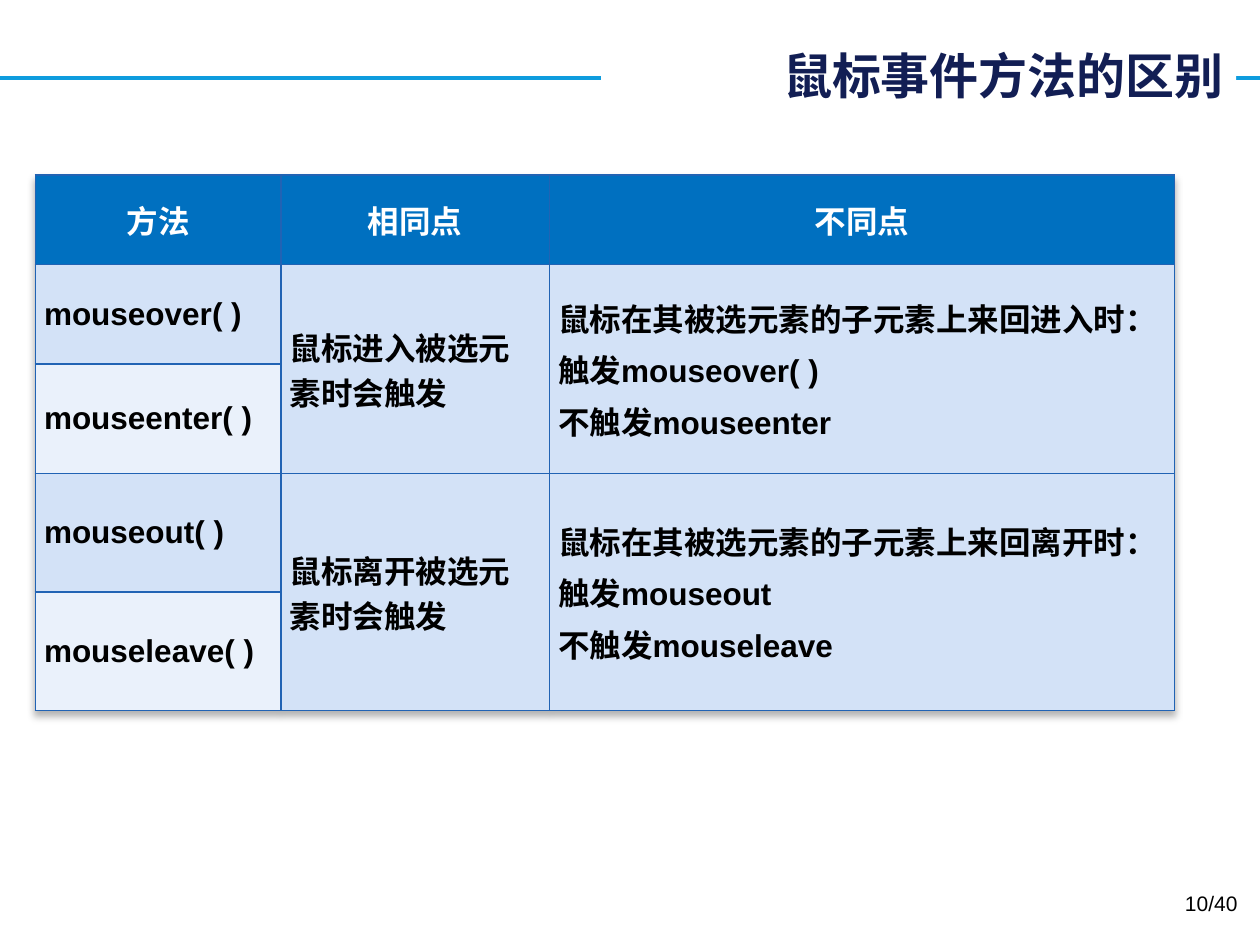
from lxml.etree import SubElement
from pptx import Presentation
from pptx.dml.color import RGBColor
from pptx.enum.shapes import MSO_CONNECTOR
from pptx.enum.text import MSO_ANCHOR, PP_ALIGN
from pptx.oxml import parse_xml
from pptx.oxml.ns import nsdecls, qn
from pptx.util import Inches, Pt

CJK_FONT = "Noto Sans CJK SC"


def color(value):
    return RGBColor.from_string(value)


def add_run(paragraph, text, size, fill, latin="Arial", bold=True):
    run = paragraph.add_run()
    run.text = text
    run.font.size = Pt(size)
    run.font.bold = bold
    run.font.name = latin
    run.font.color.rgb = color(fill)
    SubElement(run.font._element, qn("a:ea"), typeface=CJK_FONT)


presentation = Presentation()
presentation.slide_width = Inches(10)
presentation.slide_height = Inches(7.5)
slide = presentation.slides.add_slide(presentation.slide_layouts[5])

title = slide.shapes.title
title.left, title.top = Inches(4.77), Inches(0.31)
title.width, title.height = Inches(5.04), Inches(0.57)
title.fill.solid()
title.fill.fore_color.rgb = color("FFFFFF")
title.text_frame.vertical_anchor = MSO_ANCHOR.MIDDLE
title_paragraph = title.text_frame.paragraphs[0]
title_paragraph.alignment = PP_ALIGN.RIGHT
add_run(title_paragraph, "鼠标事件方法的区别", 28, "121E54", CJK_FONT)

header_line = slide.shapes.add_connector(
    MSO_CONNECTOR.STRAIGHT, Inches(0), Inches(0.62), Inches(10), Inches(0.62))
header_line.line.color.rgb = color("0E9CDE")
header_line.line.width = Pt(2.25)
SubElement(header_line._element.spPr, qn("a:effectLst"))
title._element.addprevious(header_line._element)

column_widths = [1.95, 2.13, 4.96]
row_heights = [0.71, 0.79, 0.87, 0.94, 0.94]
rows = [
    ["方法", "相同点", "不同点"],
    ["mouseover( )", "鼠标进入被选元素时会触发",
     "鼠标在其被选元素的子元素上来回进入时：\n触发mouseover( )\n不触发mouseenter"],
    ["mouseenter( )", "", ""],
    ["mouseout( )", "鼠标离开被选元素时会触发",
     "鼠标在其被选元素的子元素上来回离开时：\n触发mouseout\n不触发mouseleave"],
    ["mouseleave( )", "", ""],
]
table_frame = slide.shapes.add_table(
    len(rows), len(column_widths), Inches(0.28), Inches(1.39),
    Inches(sum(column_widths)), Inches(sum(row_heights)))
table = table_frame.table
table._tbl.tblPr.insert(0, parse_xml(
    f'<a:effectLst {nsdecls("a")}><a:outerShdw blurRad="50800" dist="38100" dir="5400000">'
    '<a:srgbClr val="000000"><a:alpha val="30000"/></a:srgbClr></a:outerShdw></a:effectLst>'))
for column, width in zip(table.columns, column_widths):
    column.width = Inches(width)
for row, height in zip(table.rows, row_heights):
    row.height = Inches(height)
for first_row in (1, 3):
    for column_index in (1, 2):
        table.cell(first_row, column_index).merge(table.cell(first_row + 1, column_index))

for row_index, texts in enumerate(rows):
    is_header = row_index == 0
    row_fill = "0070C0" if is_header else "D3E2F7" if row_index % 2 else "EAF1FB"
    for column_index, text in enumerate(texts):
        cell = table.cell(row_index, column_index)
        cell.fill.solid()
        cell.fill.fore_color.rgb = color(row_fill)
        cell.vertical_anchor = MSO_ANCHOR.MIDDLE
        cell.margin_left = cell.margin_right = Inches(0.07)
        cell.margin_top = cell.margin_bottom = Inches(0)
        for position, side in enumerate(("lnL", "lnR", "lnT", "lnB")):
            cell._tc.get_or_add_tcPr().insert(position, parse_xml(
                f'<a:{side} {nsdecls("a")} w="12700"><a:solidFill>'
                f'<a:srgbClr val="2163B4"/></a:solidFill></a:{side}>'))
        if cell.is_spanned:
            continue
        for line_index, line_text in enumerate(text.split("\n")):
            frame = cell.text_frame
            paragraph = frame.add_paragraph() if line_index else frame.paragraphs[0]
            if line_index:
                paragraph.space_before = Pt(3.6)
            paragraph.alignment = PP_ALIGN.CENTER if is_header else PP_ALIGN.LEFT
            add_run(paragraph, line_text, 18, "FFFFFF" if is_header else "000000")

page_number = slide.shapes.add_textbox(Inches(7.59), Inches(7.02), Inches(2.33), Inches(0.4))
page_number.text_frame.word_wrap = True
page_paragraph = page_number.text_frame.paragraphs[0]
page_paragraph.alignment = PP_ALIGN.RIGHT
add_run(page_paragraph, "10/40", 12, "000000", bold=False)

presentation.save("out.pptx")
